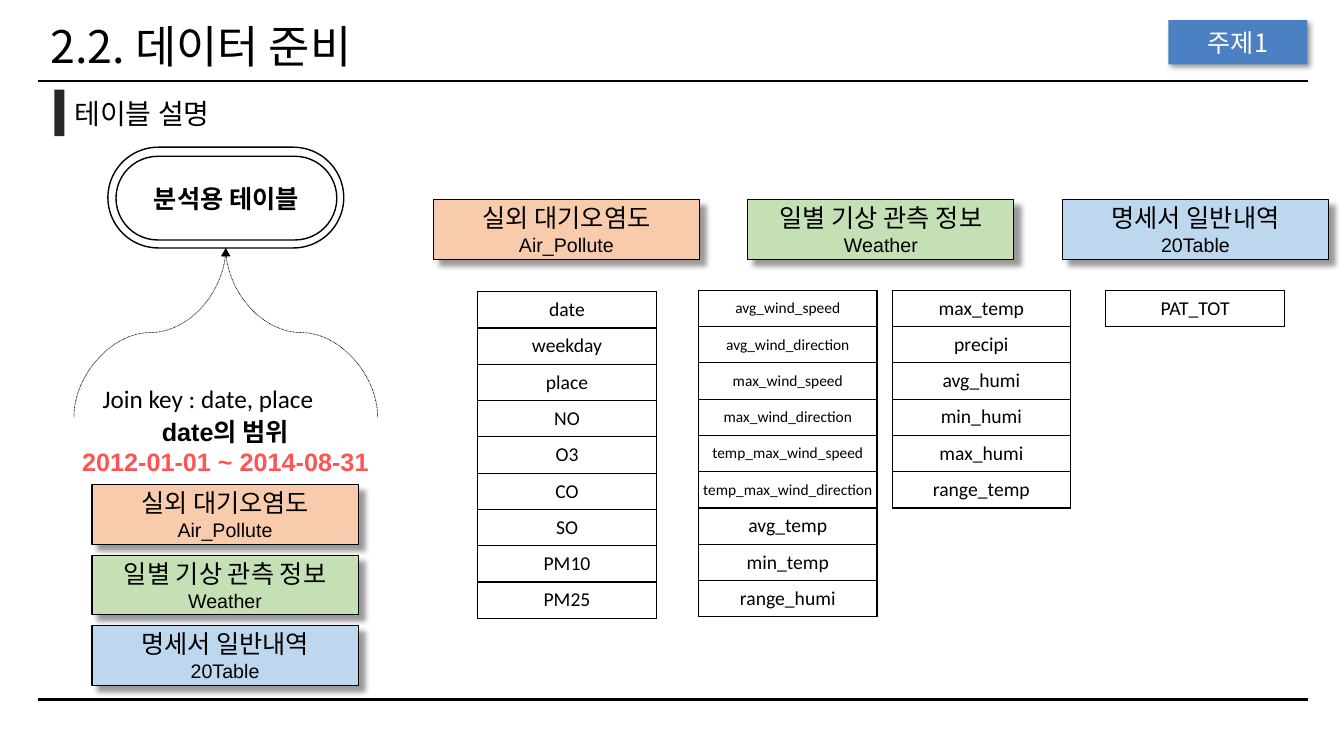
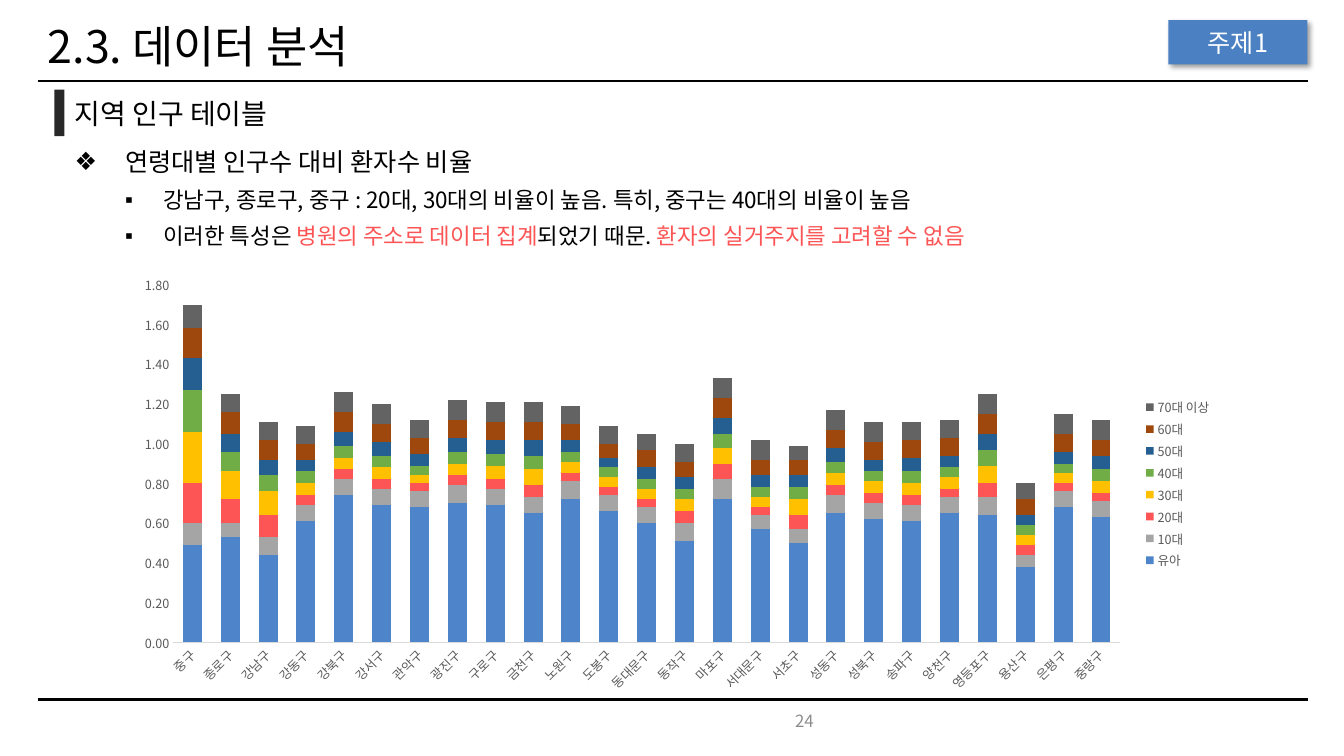
from lxml.etree import SubElement
from pptx import Presentation
from pptx.chart.data import CategoryChartData
from pptx.dml.color import RGBColor
from pptx.enum.chart import XL_CHART_TYPE as Chart, XL_LEGEND_POSITION as Legend, XL_TICK_MARK as Tick
from pptx.enum.dml import MSO_LINE as Dash
from pptx.enum.shapes import MSO_CONNECTOR as Conn, MSO_SHAPE as Shape
from pptx.enum.text import MSO_ANCHOR as Anchor, MSO_AUTO_SIZE as AutoSize, PP_ALIGN as Align
from pptx.oxml.ns import qn
from pptx.util import Inches, Pt

NOTO, ARIAL, CALIBRI = "Noto Sans CJK KR", "Arial", "Calibri"
BLACK, RED, GREY = "000000", "FD5555", "595959"
rgb = RGBColor.from_string

deck = Presentation()
deck.slide_width, deck.slide_height = Inches(13.33), Inches(7.5)
W, H = deck.slide_width, deck.slide_height


def at(x, y, w, h):
    """Turn percentages of the slide's width and height into lengths."""
    return [int(share * side / 100) for share, side in ((x, W), (y, H), (w, W), (h, H))]


def write(paragraph, text, size, font=NOTO, color=BLACK, bold=False):
    run = paragraph.add_run()
    run.text = text
    run.font.size, run.font.bold, run.font.name = Pt(size), bold, font
    run.font.color.rgb = rgb(color)
    SubElement(run._r.get_or_add_rPr(), qn("a:ea")).set("typeface", NOTO)


tables_slide = deck.slides.add_slide(deck.slide_layouts[5])
analysis_slide = deck.slides.add_slide(deck.slide_layouts[1])

# Shared frame: title, two rules, section marker and section name
for slide, heading, heading_left, section, section_font in (
        (tables_slide, "2.2. 데이터 준비", 3, "테이블 설명", ARIAL),
        (analysis_slide, "2.3. 데이터 분석", 2.8, "지역 인구 테이블", NOTO)):
    title = slide.shapes.title
    title.left, title.top, title.width, title.height = at(heading_left, 2.67, 94.4, 7.73)
    frame = title.text_frame
    frame.auto_size, frame.vertical_anchor = AutoSize.NONE, Anchor.MIDDLE
    frame.paragraphs[0].alignment, frame.paragraphs[0].line_spacing = Align.LEFT, 0.9
    write(frame.paragraphs[0], heading, 32)

    for rule_y in (10.67, 92.53):
        left, top, right, bottom = at(2.8, rule_y, 97.3, rule_y)
        rule = slide.shapes.add_connector(Conn.STRAIGHT, left, top, right, bottom)
        rule.line.width = Pt(1.5)
        rule.line.color.rgb = rgb(BLACK)
        SubElement(rule.element.spPr, qn("a:effectLst"))

    marker = slide.shapes.add_shape(Shape.RECTANGLE, *at(4.05, 11.87, 0.75, 6.13))
    marker.shadow.inherit = False
    marker.fill.solid()
    marker.fill.fore_color.rgb = rgb("282828")
    marker.line.fill.background()
    section_name = slide.shapes.add_textbox(*at(4.8, 12.07, 24.75, 5.87)).text_frame
    section_name.word_wrap = True
    write(section_name.paragraphs[0], section, 20, section_font)

# Shadowed labels: topic badge on both slides, each source beside and above its columns
labels = [(slide, (86.93, 2.67, 10.35, 5.87), "4B80C2", 3, [("주제1", 18, NOTO, "FFFFFF")])
          for slide in (tables_slide, analysis_slide)]
for i, (korean, english, fill) in enumerate((
        ("실외 대기오염도", "Air_Pollute", "F8CBAD"),
        ("일별 기상 관측 정보", "Weather", "C5E0B4"),
        ("명세서 일반내역", "20Table", "BDD7EE"))):
    lines = [(korean, 18, ARIAL, BLACK), (english, 14, ARIAL, BLACK)]
    for x, y in ((6.85, 64.13 + 9.33 * i), (32.25 + 23.4 * i, 26.4)):
        labels.append((tables_slide, (x, y, 19.8, 7.87), fill, 6, lines))

for slide, spot, fill, distance, lines in labels:
    label = slide.shapes.add_shape(Shape.RECTANGLE, *at(*spot))
    label.fill.solid()
    label.fill.fore_color.rgb = rgb(fill)
    if len(lines) > 1:
        label.line.color.rgb = rgb(BLACK)
        label.line.width = Pt(0.75)
    else:
        label.line.fill.background()
    label.shadow.inherit = False
    shadow = SubElement(label.element.spPr.find(qn("a:effectLst")), qn("a:outerShdw"),
                        blurRad=str(Pt(4)), dist=str(Pt(distance)), dir="2700000",
                        algn="tl", rotWithShape="0")
    shade = SubElement(shadow, qn("a:srgbClr"), val=BLACK)
    SubElement(shade, qn("a:alpha"), val="40000")
    frame = label.text_frame
    frame.vertical_anchor = Anchor.MIDDLE
    for i, line in enumerate(lines):
        paragraph = frame.add_paragraph() if i else frame.paragraphs[0]
        paragraph.alignment = Align.CENTER
        write(paragraph, *line)

# Analysis table: double outline
for spot in ((8.03, 19.47, 17.55, 13.33), (8.63, 20.67, 16.43, 11.07)):
    pill = tables_slide.shapes.add_shape(Shape.ROUNDED_RECTANGLE, *at(*spot))
    pill.adjustments[0] = 0.5
    pill.shadow.inherit = False
    pill.fill.background()
    pill.line.color.rgb = rgb(BLACK)
    pill.line.width = Pt(1)
pill.text_frame.vertical_anchor = Anchor.MIDDLE
pill.text_frame.paragraphs[0].alignment = Align.CENTER
write(pill.text_frame.paragraphs[0], "분석용 테이블", 18, CALIBRI, bold=True)

# Dotted join curves meeting below the analysis table
tip_x, tip_y, reach, drop = at(16.8, 32.8, 11.3, 22.4)
for side, turn in ((-1, 90), (1, 270)):
    middle_x, middle_y = tip_x + side * reach // 2, tip_y + drop // 2
    curve = tables_slide.shapes.add_connector(
        Conn.CURVE, middle_x + side * drop // 2, middle_y - reach // 2,
        middle_x - side * drop // 2, middle_y + reach // 2)
    curve.line.color.rgb = rgb(BLACK)
    curve.line.width = Pt(0.5)
    curve.line.dash_style = Dash.ROUND_DOT
    properties = curve.element.spPr
    properties.find(qn("a:xfrm")).set("rot", str(turn * 60000))
    SubElement(properties.find(qn("a:ln")), qn("a:headEnd"), type="triangle")
    SubElement(properties, qn("a:effectLst"))

# Join key and date range
join_key = tables_slide.shapes.add_textbox(*at(6.9, 50, 19.8, 5.33)).text_frame
write(join_key.paragraphs[0], "Join key : date, place", 18, CALIBRI)
date_range = tables_slide.shapes.add_textbox(*at(3.83, 54.4, 25.88, 9.47)).text_frame
for paragraph, text, color in (
        (date_range.paragraphs[0], "date의 범위", BLACK),
        (date_range.add_paragraph(), "2012-01-01 ~ 2014-08-31", RED)):
    paragraph.alignment = Align.CENTER
    write(paragraph, text, 18, ARIAL, color, bold=True)

# Column names of each source
for x, y, names in (
        (35.55, 38.6, ["date", "weekday", "place", "NO", "O3", "CO", "SO", "PM10", "PM25"]),
        (51.98, 38.4, ["avg_wind_speed", "avg_wind_direction", "max_wind_speed",
                       "max_wind_direction", "temp_max_wind_speed", "temp_max_wind_direction",
                       "avg_temp", "min_temp", "range_humi"]),
        (66.38, 38.4, ["max_temp", "precipi", "avg_humi", "min_humi", "max_humi", "range_temp"]),
        (82.28, 38.4, ["PAT_TOT"])):
    spot = at(x, y, 13.28, 4.8 * len(names))
    columns = tables_slide.shapes.add_table(len(names), 1, *spot).table
    columns.first_row = columns.horz_banding = False
    for i, name in enumerate(names):
        cell = columns.cell(i, 0)
        cell.fill.background()
        cell.vertical_anchor = Anchor.MIDDLE
        cell.margin_left = cell.margin_right = cell.margin_top = cell.margin_bottom = 0
        cell_format = cell._tc.get_or_add_tcPr()
        for order, edge in enumerate(("a:lnL", "a:lnR", "a:lnT", "a:lnB")):
            border = SubElement(cell_format, qn(edge), w=str(Pt(1)))
            SubElement(SubElement(border, qn("a:solidFill")), qn("a:srgbClr"), val=BLACK)
            cell_format.insert(order, border)
        paragraph = cell.text_frame.paragraphs[0]
        paragraph.alignment = Align.CENTER
        write(paragraph, name, 11 if "wind" in name else 14, CALIBRI)

# Findings
findings = analysis_slide.placeholders[1]
findings.left, findings.top, findings.width, findings.height = at(4.8, 17.87, 92.4, 17.33)
frame = findings.text_frame
frame.auto_size, frame.vertical_anchor = AutoSize.NONE, Anchor.TOP
for i, (level, runs) in enumerate((
        (0, [("연령대별 인구수 대비 환자수 비율", BLACK)]),
        (1, [("강남구, 종로구, 중구 : 20대, 30대의 비율이 높음. 특히, 중구는 40대의 비율이 높음", BLACK)]),
        (1, [("이러한 특성은 ", BLACK), ("병원의 주소로 데이터 집계", RED),
             ("되었기 때문. ", BLACK), ("환자의 실거주지를 고려할 수 없음", RED)]))):
    paragraph = frame.add_paragraph() if i else frame.paragraphs[0]
    size, spacing, margin, hanging, bullet = ((18, 1.2, 0.5, 0.5, "❖"),
                                              (16, 1.1, 0.88, 0.38, "▪"))[level]
    paragraph.level = level
    paragraph.line_spacing = spacing
    paragraph.space_before = Pt(5 if i else 0)
    layout = paragraph._p.get_or_add_pPr()
    layout.set("marL", str(Inches(margin)))
    layout.set("indent", str(-Inches(hanging)))
    SubElement(layout, qn("a:buChar"), char=bullet)
    for text, color in runs:
        write(paragraph, text, size, color=color)

# Patients per resident by district and age group
ratios = CategoryChartData(number_format="0.00")
ratios.categories = (
    "중구 종로구 강남구 강동구 강북구 강서구 관악구 광진구 구로구 금천구 노원구 도봉구 동대문구 "
    "동작구 마포구 서대문구 서초구 성동구 성북구 송파구 양천구 영등포구 용산구 은평구 중랑구").split()
age_groups = (
    ("유아", "4E85CA", [49, 53, 44, 61, 74, 69, 68, 70, 69, 65, 72, 66, 60,
                      51, 72, 57, 50, 65, 62, 61, 65, 64, 38, 68, 63]),
    ("10대", "A5A5A5", [11, 7, 9, 8, 8, 8, 8, 9, 8, 8, 9, 8, 8,
                       9, 10, 7, 7, 9, 8, 8, 8, 9, 6, 8, 8]),
    ("20대", RED, [20, 12, 11, 5, 5, 5, 4, 5, 5, 6, 4, 4, 4,
                  6, 8, 4, 7, 5, 5, 5, 4, 7, 5, 4, 4]),
    ("30대", "FFC000", [26, 14, 12, 6, 6, 6, 4, 6, 7, 8, 6, 5, 5,
                       6, 8, 5, 8, 6, 6, 6, 6, 9, 5, 5, 6]),
    ("40대", "70AD47", [21, 10, 8, 6, 6, 6, 5, 6, 6, 7, 5, 5, 5,
                       5, 7, 5, 6, 6, 5, 6, 5, 8, 5, 5, 6]),
    ("50대", "255E91", [16, 9, 8, 6, 7, 7, 6, 7, 7, 8, 6, 5, 6,
                       6, 8, 6, 6, 7, 6, 7, 6, 8, 5, 6, 7]),
    ("60대", "9E480E", [15, 11, 10, 8, 10, 9, 8, 9, 9, 9, 8, 7, 9,
                       8, 10, 8, 8, 9, 9, 9, 9, 10, 8, 9, 8]),
    ("70대 이상", "636363", [12, 9, 9, 9, 10, 10, 9, 10, 10, 10, 9, 9, 8,
                          9, 10, 10, 7, 10, 10, 9, 9, 10, 8, 10, 10]))
for group, _, percents in age_groups:
    ratios.add_series(group, [percent / 100 for percent in percents])
chart = analysis_slide.shapes.add_chart(
    Chart.COLUMN_STACKED, *at(9.15, 35.33, 81.75, 57.33), ratios).chart
chart.has_title = False
chart.has_legend = True
chart.legend.position, chart.legend.include_in_layout = Legend.RIGHT, False
bars = chart.plots[0]
bars.gap_width, bars.overlap, bars.vary_by_categories = 100, 100, False
for series, (_, color, _) in zip(bars.series, age_groups):
    series.format.fill.solid()
    series.format.fill.fore_color.rgb = rgb(color)

districts, scale = chart.category_axis, chart.value_axis
for axis in (districts, scale):
    axis.major_tick_mark = axis.minor_tick_mark = Tick.NONE
    axis.has_major_gridlines = False
districts.format.line.color.rgb = rgb("D9D9D9")
districts.format.line.width = Pt(0.75)
scale.format.line.fill.background()
scale.minimum_scale, scale.maximum_scale, scale.major_unit = 0, 1.8, 0.2
scale.tick_labels.number_format, scale.tick_labels.number_format_is_linked = "0.00", False
for font in (chart.font, districts.tick_labels.font, scale.tick_labels.font, chart.legend.font):
    font.name, font.size = NOTO, Pt(9)
    font.color.rgb = rgb(GREY)
chart.element.xpath("//c:catAx/c:txPr/a:bodyPr")[0].set("rot", "-2700000")

# Page number
page_number = analysis_slide.shapes.add_textbox(*at(38.78, 92.67, 22.5, 5.33)).text_frame
page_number.word_wrap, page_number.vertical_anchor = True, Anchor.MIDDLE
page_number.paragraphs[0].alignment = Align.RIGHT
write(page_number.paragraphs[0], "24", 12, color="8C8C8C")

deck.save("out.pptx")
